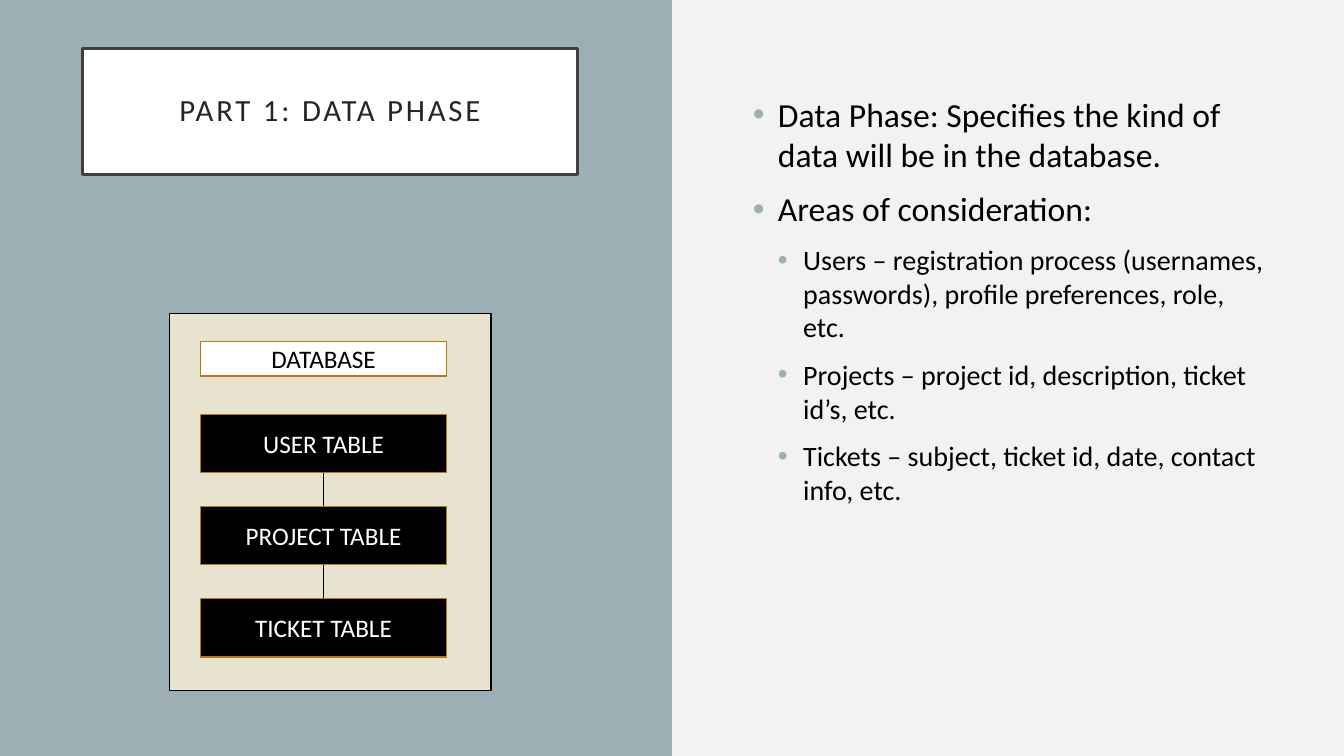
import dataclasses

import lxml.etree
import pptx
import pptx.dml.color
import pptx.enum.shapes
import pptx.enum.text
import pptx.oxml
import pptx.oxml.ns
import pptx.util

COLUMNS, ROWS = 160, 90
CELL = pptx.util.Inches(7.5) / ROWS


@dataclasses.dataclass(frozen=True)
class Theme:
    font: str = "Calibri"
    background: str = "F2F2F2"
    accent: str = "9BAFB5"
    white: str = "FFFFFF"
    black: str = "000000"
    title_text: str = "262626"
    title_border: str = "404040"
    card: str = "E8E3CE"
    table_border: str = "B67815"
    title_size: int = 22
    topic_size: int = 24
    detail_size: int = 20
    label_size: int = 18


@dataclasses.dataclass(frozen=True)
class Box:
    left: float
    top: float
    width: float
    height: float

    def inside(self, left, top, width, height):
        return Box(self.left + left, self.top + top, width, height)

    def lengths(self):
        return [round(value * CELL) for value in dataclasses.astuple(self)]


THEME = Theme()


def rgb(color):
    return pptx.dml.color.RGBColor.from_string(color)


def write_text(paragraph, text, size, color, align="LEFT", letter_spacing=None):
    paragraph.alignment = getattr(pptx.enum.text.PP_ALIGN, align)
    run = paragraph.add_run()
    run.text = text
    run.font.name = THEME.font
    run.font.size = pptx.util.Pt(size)
    run.font.color.rgb = rgb(color)
    if letter_spacing:
        run.font._element.set("spc", str(letter_spacing * 100))


def paint(shape, fill, border=None, weight=1):
    shape.fill.solid()
    shape.fill.fore_color.rgb = rgb(fill)
    if border:
        shape.line.color.rgb = rgb(border)
        shape.line.width = pptx.util.Pt(weight)
    else:
        shape.line.fill.background()


def add_rectangle(slide, box, fill, border=None):
    rectangle = slide.shapes.add_shape(
        pptx.enum.shapes.MSO_SHAPE.RECTANGLE, *box.lengths()
    )
    rectangle.shadow.inherit = False
    paint(rectangle, fill, border)
    return rectangle


def add_label(slide, box, text, fill, color):
    label = add_rectangle(slide, box, fill, THEME.table_border)
    frame = label.text_frame
    frame.vertical_anchor = pptx.enum.text.MSO_ANCHOR.MIDDLE
    write_text(frame.paragraphs[0], text, THEME.label_size, color, align="CENTER")
    return label


def join(slide, upper, lower):
    connector = slide.shapes.add_connector(
        pptx.enum.shapes.MSO_CONNECTOR.STRAIGHT, 0, 0, 0, 0
    )
    connector.begin_connect(upper, 2)
    connector.end_connect(lower, 0)
    connector.line.color.rgb = rgb(THEME.black)
    connector.line.width = pptx.util.Pt(0.5)
    properties = connector.element.spPr
    lxml.etree.SubElement(properties, pptx.oxml.ns.qn("a:effectLst"))


def place_title(slide, box, text):
    title = slide.shapes.title
    title.element.getparent().append(title.element)
    title.left, title.top, title.width, title.height = box.lengths()
    paint(title, THEME.white, THEME.title_border, 2.5)
    frame = title.text_frame
    frame.word_wrap = True
    frame.auto_size = pptx.enum.text.MSO_AUTO_SIZE.NONE
    frame.vertical_anchor = pptx.enum.text.MSO_ANCHOR.MIDDLE
    for side in ("left", "top", "right", "bottom"):
        setattr(frame, f"margin_{side}", pptx.util.Inches(0.2))
    paragraph = frame.paragraphs[0]
    paragraph.line_spacing = 0.9
    write_text(paragraph, text, THEME.title_size, THEME.title_text,
               align="CENTER", letter_spacing=2)


def add_bullet(paragraph, level):
    paragraph.level = level
    paragraph.space_before = pptx.util.Pt(10)
    indent = pptx.util.Inches(0.25)
    properties = paragraph._p.get_or_add_pPr()
    properties.set("marL", str(indent * (level + 1)))
    properties.set("indent", str(-indent))
    namespace = pptx.oxml.ns.nsdecls("a")
    for markup in (
        f'<a:buClr {namespace}><a:srgbClr val="{THEME.accent}"/></a:buClr>',
        f'<a:buFont {namespace} typeface="Arial"/>',
        f'<a:buChar {namespace} char="•"/>',
    ):
        properties.append(pptx.oxml.parse_xml(markup))


def add_outline(slide, box, items):
    frame = slide.shapes.add_textbox(*box.lengths()).text_frame
    frame.word_wrap = True
    sizes = (THEME.topic_size, THEME.detail_size)
    for index, (level, text) in enumerate(items):
        paragraph = frame.add_paragraph() if index else frame.paragraphs[0]
        add_bullet(paragraph, level)
        write_text(paragraph, text, sizes[level], THEME.black)


def add_database(slide, box, heading, names):
    add_rectangle(slide, box, THEME.card, THEME.black)
    left, width, pitch = 3.72, 29.28, 10.96
    add_label(slide, box.inside(left, 3.36, width, 4.08), heading,
              THEME.white, THEME.black)
    tables = [
        add_label(slide, box.inside(left, 12 + row * pitch, width, 6.96), name,
                  THEME.black, THEME.white)
        for row, name in enumerate(names)
    ]
    for upper, lower in zip(tables, tables[1:]):
        join(slide, upper, lower)


def build_data_phase(presentation):
    slide = presentation.slides.add_slide(presentation.slide_layouts[5])
    slide.background.fill.solid()
    slide.background.fill.fore_color.rgb = rgb(THEME.background)
    add_rectangle(slide, Box(0, 0, COLUMNS / 2, ROWS), THEME.accent)
    place_title(slide, Box(9.84, 5.76, 58.92, 15), "PART 1: DATA PHASE")
    add_outline(slide, Box(88.44, 10.56, 63.24, 68.88), [
        (0, "Data Phase: Specifies the kind of data will be in the database."),
        (0, "Areas of consideration:"),
        (1, "Users – registration process (usernames, passwords), "
            "profile preferences, role, etc."),
        (1, "Projects – project id, description, ticket id’s, etc."),
        (1, "Tickets – subject, ticket id, date, contact info, etc."),
    ])
    add_database(slide, Box(20.16, 37.32, 38.28, 44.88), "DATABASE",
                 ["USER TABLE", "PROJECT TABLE", "TICKET TABLE"])


def main():
    presentation = pptx.Presentation()
    presentation.slide_width = round(COLUMNS * CELL)
    presentation.slide_height = round(ROWS * CELL)
    build_data_phase(presentation)
    presentation.save("out.pptx")


if __name__ == "__main__":
    main()
